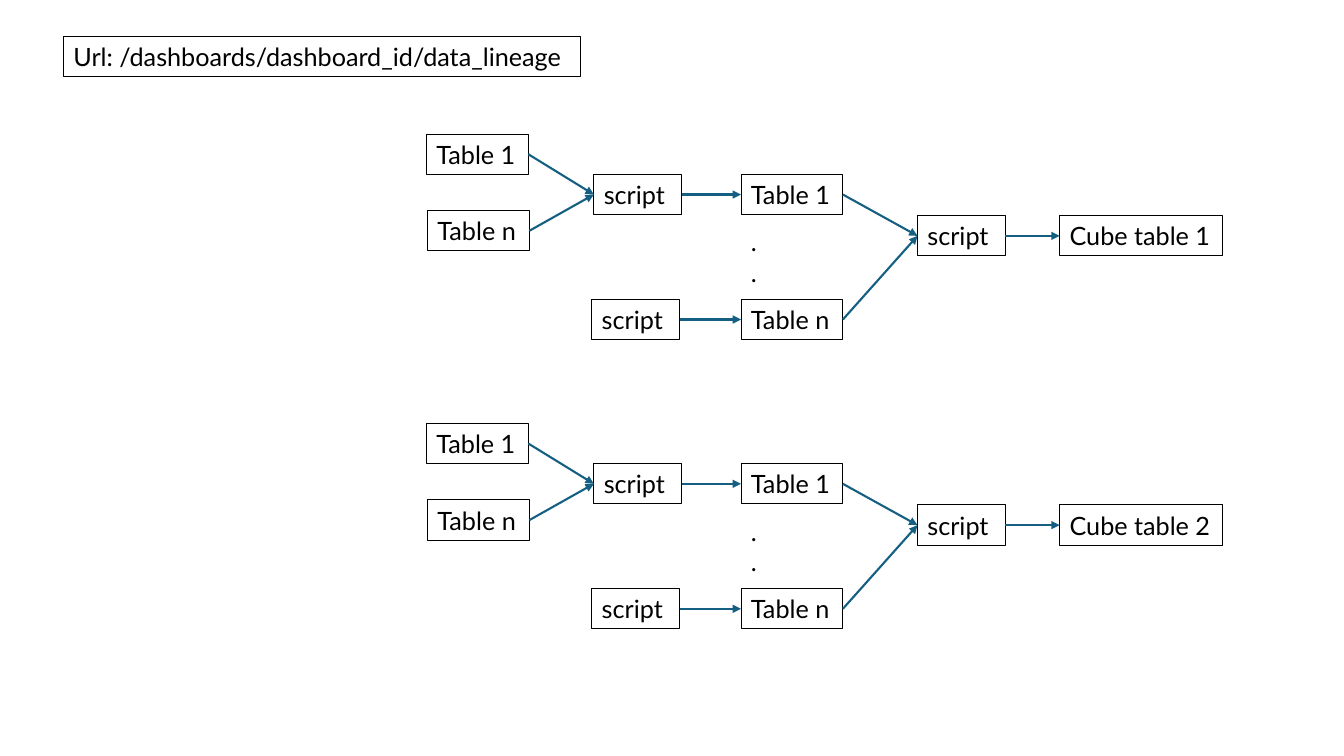
from lxml import etree
from pptx import Presentation
from pptx.dml.color import RGBColor
from pptx.enum.shapes import MSO_CONNECTOR
from pptx.enum.text import MSO_AUTO_SIZE
from pptx.oxml.ns import qn
from pptx.util import Inches, Pt

STRAIGHT = MSO_CONNECTOR.STRAIGHT
FIT_SHAPE = MSO_AUTO_SIZE.SHAPE_TO_FIT_TEXT

BLACK = RGBColor(0x00, 0x00, 0x00)
WHITE = RGBColor(0xFF, 0xFF, 0xFF)
TEAL = RGBColor(0x15, 0x60, 0x82)

FONT = "Lato"
BOX_H = 0.4
TABLE_W = 1.01
SCRIPT_W = 0.87
CUBE_W = 1.62
RIGHT, LEFT = 3, 1


def add_box(s, text, x, y, w, h=BOX_H, border=BLACK):
    box = s.shapes.add_textbox(Inches(x), Inches(y), Inches(w), Inches(h))
    box.line.color.rgb = border
    box.line.width = Pt(0.75)
    tf = box.text_frame
    tf.word_wrap = True
    tf.auto_size = FIT_SHAPE
    tf.text = text
    for p in tf.paragraphs:
        p.font.name = FONT
        p.font.size = Pt(18)
        p.font.color.rgb = BLACK
    return box


def add_arrow(s, source, target):
    arrow = s.shapes.add_connector(STRAIGHT, 0, 0, 0, 0)
    arrow.begin_connect(source, RIGHT)
    arrow.end_connect(target, LEFT)
    arrow.line.color.rgb = TEAL
    arrow.line.width = Pt(1.5)
    etree.SubElement(arrow.line._get_or_add_ln(), qn("a:tailEnd"), type="triangle")
    etree.SubElement(arrow._element.spPr, qn("a:effectLst"))


def add_lineage(s, cube_name, top):
    source_1 = add_box(s, "Table 1", 4.23, top, TABLE_W)
    source_n = add_box(s, "Table n", 4.24, top + 0.76, TABLE_W)
    script_1 = add_box(s, "script", 5.89, top + 0.4, SCRIPT_W)
    script_n = add_box(s, "script", 5.87, top + 1.64, SCRIPT_W)
    table_1 = add_box(s, "Table 1", 7.35, top + 0.4, TABLE_W)
    add_box(s, ".\n.", 7.35, top + 0.87, TABLE_W, 0.71, WHITE)
    table_n = add_box(s, "Table n", 7.35, top + 1.64, TABLE_W)
    cube_script = add_box(s, "script", 9.1, top + 0.81, SCRIPT_W)
    cube = add_box(s, cube_name, 10.51, top + 0.81, CUBE_W)

    for source, target in (
        (source_1, script_1),
        (source_n, script_1),
        (script_1, table_1),
        (script_n, table_n),
        (table_1, cube_script),
        (table_n, cube_script),
        (cube_script, cube),
    ):
        add_arrow(s, source, target)


def main():
    prs = Presentation()
    prs.slide_width = Inches(13.33)
    prs.slide_height = Inches(7.5)
    s = prs.slides.add_slide(prs.slide_layouts.get_by_name("Blank"))

    add_box(s, "Url: /dashboards/dashboard_id/data_lineage", 0.63, 0.36, 5.13)
    add_lineage(s, "Cube table 1", 1.33)
    add_lineage(s, "Cube table 2", 4.2)

    prs.save("out.pptx")


if __name__ == "__main__":
    main()
